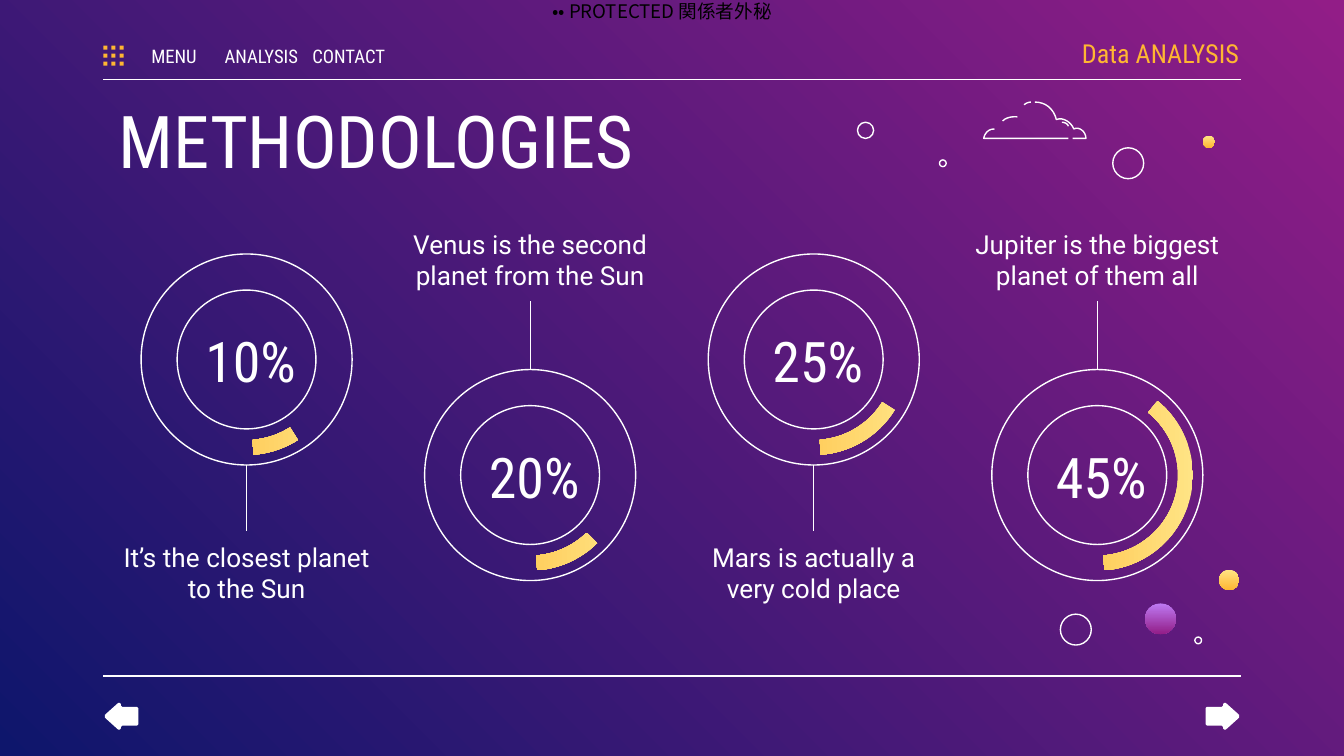
from lxml import etree
from pptx import Presentation
from pptx.dml.color import RGBColor
from pptx.enum.shapes import MSO_CONNECTOR, MSO_SHAPE as SHAPE
from pptx.enum.text import MSO_ANCHOR as ANCHOR, PP_ALIGN as ALIGN
from pptx.oxml.ns import qn
from pptx.util import Inches, Pt

WHITE, AMBER, BLACK = "FFFFFF", "FFB632", "000000"
GOLD = ("FFE485", AMBER)
VIOLET = ("BE7AF3", "921D87")
BACKDROP = ("921D87", "0E166C")
CONDENSED, BODY, CJK = "Roboto Condensed", "Roboto", "Noto Sans CJK JP"
RING, ARC = 1.57, 1.42

# percentage, caption, start of the arc
RINGS = [
    ("10%", "It’s the closest planet to the Sun", 196.468),
    ("20%", "Venus is the second planet from the Sun", 189.293),
    ("25%", "Mars is actually a very cold place", 181.151),
    ("45%", "Jupiter is the biggest planet of them all", 131.39),
]
OUTLINED_PLANETS = [(6.38, 0.91, 0.12), (8.28, 1.1, 0.23), (7.89, 4.57, 0.23),
                    (8.89, 4.74, 0.05), (6.99, 1.19, 0.05)]
FILLED_PLANETS = [(8.52, 4.49, 0.23, VIOLET), (8.95, 1.01, 0.09, GOLD),
                  (9.07, 4.24, 0.15, GOLD)]
# Each stroke is a start point, then curves (three points) or lines (one point)
CLOUD = [
    [(7.7, 0.76), [(7.78, 0.76), (7.84, 0.81), (7.86, 0.89)],
     [(7.91, 0.87), (7.97, 0.91), (7.99, 0.96)],
     [(8.03, 0.94), (8.08, 0.98), (8.08, 1.03)], [(7.98, 1.03)]],
    [(7.67, 0.76), [(7.67, 0.76), (7.64, 0.76), (7.62, 0.78)]],
    [(7.95, 1.03), [(7.32, 1.03)], [(7.32, 1.03), (7.33, 0.96), (7.4, 0.96)]],
    [(7.9, 0.91), [(7.9, 0.91), (7.94, 0.91), (7.95, 0.94)]],
    [(7.57, 0.87), [(7.57, 0.87), (7.5, 0.86), (7.46, 0.9)]],
]
LEFT_ARROW = [
    (0.88, 5.43), (0.78, 5.34), (0.78, 5.32), (0.88, 5.23), (0.89, 5.23),
    (0.9, 5.24), (0.9, 5.25), (0.91, 5.26), (1.02, 5.26), (1.03, 5.27),
    (1.03, 5.39), (1.02, 5.4), (0.91, 5.4), (0.9, 5.41), (0.9, 5.42), (0.89, 5.43),
]


def rgb(color):
    return RGBColor.from_string(color)


def set_fill(fill, color, angle=270):
    """Fill with nothing, a hex colour, or a gradient between two of them."""
    if color is None:
        fill.background()
    elif isinstance(color, tuple):
        fill.gradient()
        fill.gradient_angle = angle
        for stop, c in zip(fill.gradient_stops, color):
            stop.color.rgb = rgb(c)
    else:
        fill.solid()
        fill.fore_color.rgb = rgb(color)


def paint(sp, fill=None, line=None):
    sp.shadow.inherit = False
    set_fill(sp.fill, fill)
    if line:
        sp.line.color.rgb = rgb(line)
        sp.line.width = Pt(0.75)
    else:
        sp.line.fill.background()


def add_shape(shapes, kind, x, y, size, **colors):
    sp = shapes.add_shape(kind, *map(Inches, (x, y, size, size)))
    paint(sp, **colors)
    return sp


def add_line(s, x1, y1, x2, y2):
    sp = s.shapes.add_connector(MSO_CONNECTOR.STRAIGHT, *map(Inches, (x1, y1, x2, y2)))
    sp.line.color.rgb = rgb(WHITE)
    sp.line.width = Pt(0.75)
    etree.SubElement(sp._element.spPr, qn("a:effectLst"))


def add_path(shapes, points, close, **colors):
    pts = [(Inches(x), Inches(y)) for x, y in points]
    builder = shapes.build_freeform(*pts[0])
    builder.add_line_segments(pts[1:], close=close)
    paint(builder.convert_to_shape(), **colors)


def flatten(stroke, steps=8):
    """Turn a stroke of Bezier curves and lines into a list of points."""
    points = [stroke[0]]
    for segment in stroke[1:]:
        if len(segment) == 1:
            points += segment
            continue
        curve = [points[-1], *segment]
        for i in range(1, steps + 1):
            t = i / steps
            weights = ((1 - t) ** 3, 3 * t * (1 - t) ** 2, 3 * t * t * (1 - t), t ** 3)
            points.append(tuple(sum(w * c[axis] for w, c in zip(weights, curve))
                                for axis in (0, 1)))
    return points


def write(sp, box, text, size, font=CONDENSED, color=WHITE, align=ALIGN.CENTER,
          anchor=ANCHOR.MIDDLE, insets=(0.1, 0.1, 0.1, 0.1)):
    sp.left, sp.top, sp.width, sp.height = map(Inches, box)
    tf = sp.text_frame
    left, top, right, bottom = map(Inches, insets)
    frame = {"word_wrap": True, "vertical_anchor": anchor, "margin_left": left,
             "margin_top": top, "margin_right": right, "margin_bottom": bottom}
    for name, value in frame.items():
        setattr(tf, name, value)
    p = tf.paragraphs[0]
    p.alignment = align
    r = p.add_run()
    r.text = text
    for name, value in {"size": Pt(size), "name": font}.items():
        setattr(r.font, name, value)
    r.font.color.rgb = rgb(color)
    if font == CJK:
        etree.SubElement(r._r.get_or_add_rPr(), qn("a:ea"), typeface=font)


def add_text(s, box, text, size, **style):
    write(s.shapes.add_textbox(0, 0, 0, 0), box, text, size, **style)


def add_header(s):
    add_text(s, (4.1, 0, 1.65, 0.17), "•• PROTECTED 関係者外秘", 10, font=CJK,
             color=BLACK, anchor=ANCHOR.TOP, insets=(0, 0, 0, 0))
    for y in (0.59, 5.03):
        add_line(s, 0.77, y, 9.23, y)
    dots = s.shapes.add_group_shape()
    for i in range(9):
        add_shape(dots.shapes, SHAPE.RECTANGLE, 0.77 + 0.06 * (i // 3),
                  0.34 + 0.06 * (i % 3), 0.03, fill=AMBER)
    for i, label in enumerate(("MENU", "ANALYSIS", "CONTACT")):
        add_text(s, (1.01 + 0.65 * i, 0.3, 0.57, 0.23), label, 10,
                 insets=(0, 0.1, 0, 0.1))
    add_text(s, (7.72, 0.23, 1.5, 0.33), "Data ANALYSIS", 14, color=AMBER,
             align=ALIGN.RIGHT, insets=(0.1, 0.1, 0, 0.1))


def add_ring(s, i, percent, caption, arc_start):
    """Odd rings hang low with the caption above; even ones the reverse."""
    low = i % 2
    x, y = 1.05 + 2.11 * i, 2.75 if low else 1.89
    center, gap = x + RING / 2, (RING - ARC) / 2
    add_shape(s.shapes, SHAPE.DONUT, x, y, RING, line=WHITE).adjustments[0] = 0.171
    arc = add_shape(s.shapes, SHAPE.BLOCK_ARC, x + gap, y + gap, ARC, fill=GOLD)
    arc.rotation = 90
    for n, value in enumerate((arc_start, 213.492, 0.078)):
        arc.adjustments[n] = value
    add_line(s, center, 2.75 if low else 3.46, center, 2.24 if low else 3.95)
    add_text(s, (x + 0.2, y + 0.48, 1.23, 0.62), percent, 30)
    add_text(s, (x - 0.27, 1.62 if low else 3.95, 2.11, 0.62), caption, 14, font=BODY)


def add_sky(s):
    for x, y, size in OUTLINED_PLANETS:
        add_shape(s.shapes, SHAPE.OVAL, x, y, size, line=WHITE)
    for x, y, size, color in FILLED_PLANETS:
        add_shape(s.shapes, SHAPE.OVAL, x, y, size, fill=color)
    cloud = s.shapes.add_group_shape()
    for stroke in CLOUD:
        add_path(cloud.shapes, flatten(stroke), False, line=WHITE)


def main():
    prs = Presentation()
    prs.slide_width = Inches(10)
    prs.slide_height = prs.slide_width * 9 // 16
    s = prs.slides.add_slide(prs.slide_layouts[5])
    set_fill(s.background.fill, BACKDROP, angle=225)
    write(s.shapes.title, (0.78, 0.61, 8.44, 0.66), "METHODOLOGIES", 39,
          align=ALIGN.LEFT, anchor=ANCHOR.TOP)
    add_header(s)
    for i, ring in enumerate(RINGS):
        add_ring(s, i, *ring)
    add_sky(s)
    add_path(s.shapes, LEFT_ARROW, True, fill=WHITE)
    add_path(s.shapes, [(10 - x, y) for x, y in LEFT_ARROW], True, fill=WHITE)
    prs.save("out.pptx")


if __name__ == "__main__":
    main()
